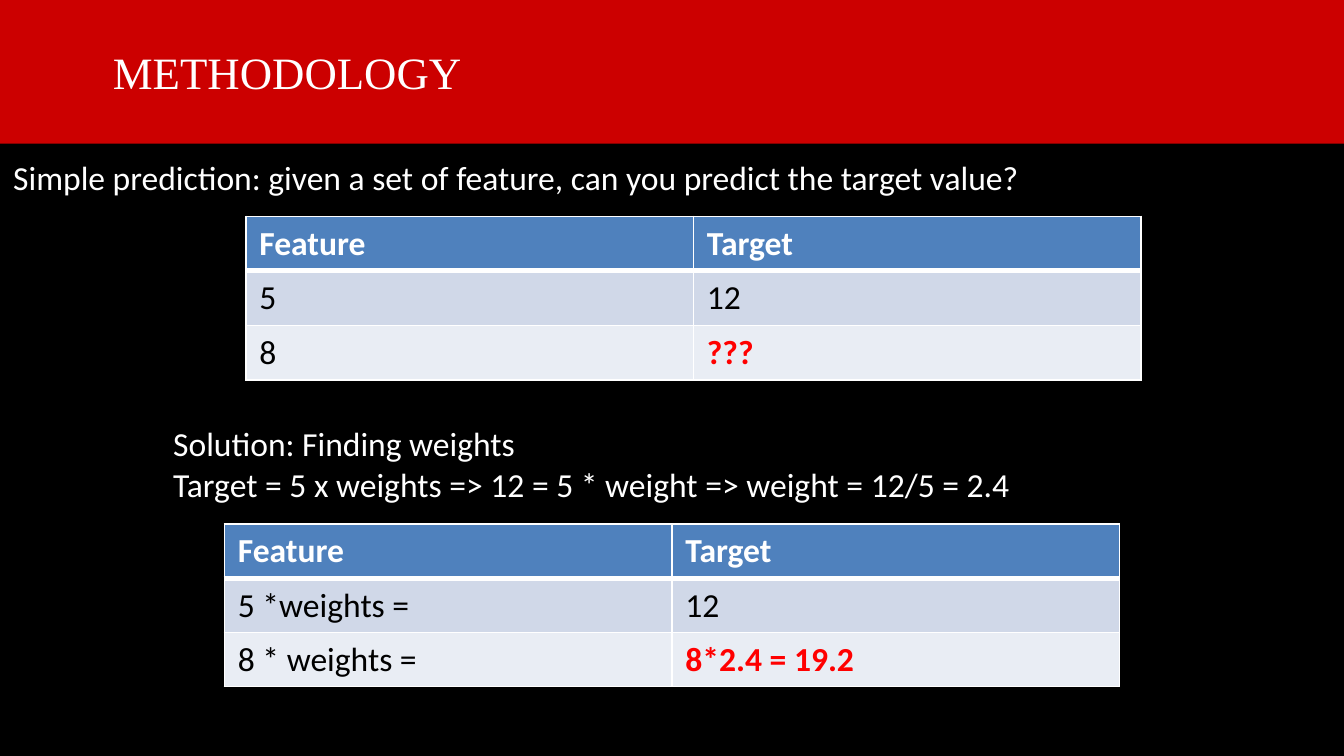
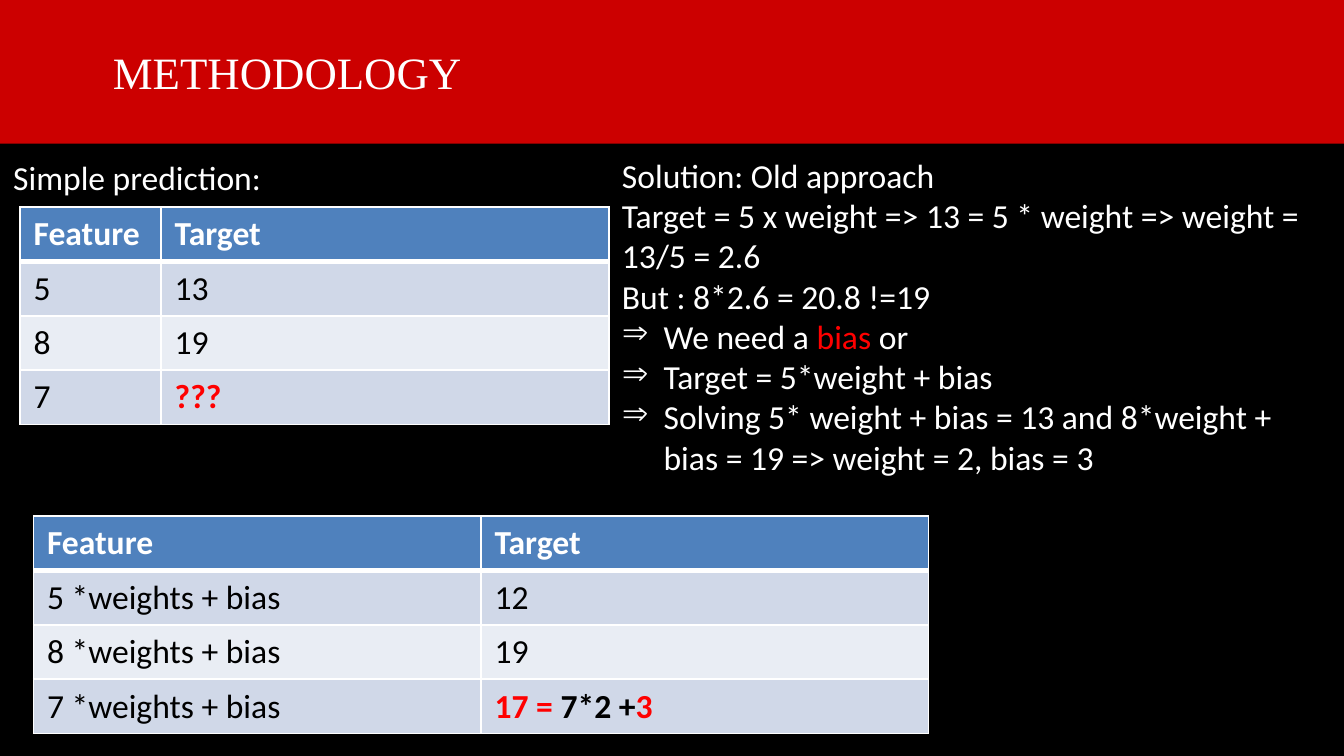
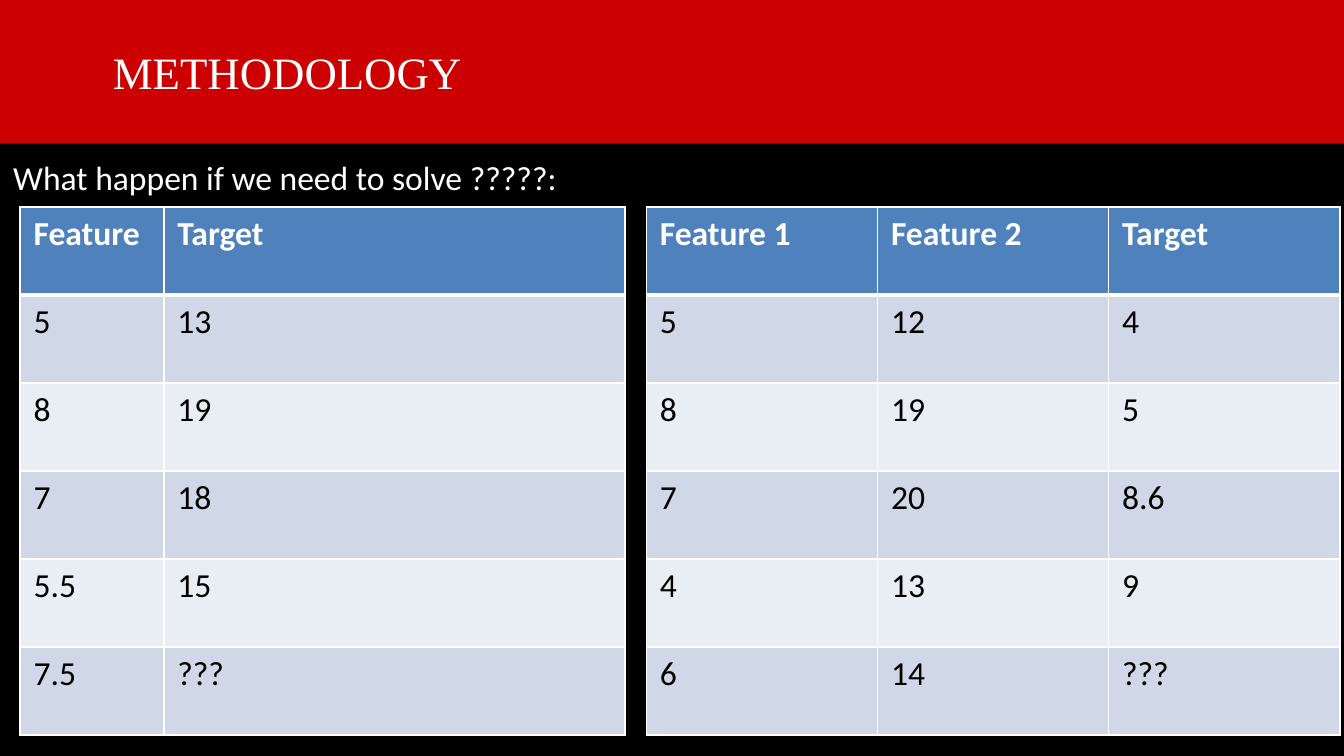
from lxml import etree
from pptx import Presentation
from pptx.dml.color import RGBColor
from pptx.enum.shapes import MSO_SHAPE
from pptx.enum.text import MSO_ANCHOR, MSO_AUTO_SIZE, PP_ALIGN
from pptx.oxml.ns import qn
from pptx.util import Inches, Pt

RECTANGLE = MSO_SHAPE.RECTANGLE
MIDDLE = MSO_ANCHOR.MIDDLE
NO_FIT, GROW = MSO_AUTO_SIZE.NONE, MSO_AUTO_SIZE.SHAPE_TO_FIT_TEXT
LEFT = PP_ALIGN.LEFT

COLORS = {
    "background": "000000",
    "band": "CC0000",
    "light": "FFFFFF",
    "dark": "000000",
    "accent": "FF0000",
    "header": "4F81BD",
    "odd": "D0D8E8",
    "even": "E9EDF4",
}
RGB = {name: RGBColor.from_string(value) for name, value in COLORS.items()}


def write(tf, paragraphs, size=18, font="Calibri", color="light", bold=False, bullets_from=None):
    for i, runs in enumerate(paragraphs):
        p = tf.paragraphs[0] if i == 0 else tf.add_paragraph()
        p.alignment = LEFT
        if bullets_from is not None and i >= bullets_from:
            pPr = p._p.get_or_add_pPr()
            pPr.set("marL", str(Inches(0.31)))
            pPr.set("indent", str(-Inches(0.31)))
            etree.SubElement(pPr, qn("a:buChar")).set("char", "⇒")
        for run in [runs] if isinstance(runs, str) else runs:
            text, run_color = (run, color) if isinstance(run, str) else run
            r = p.add_run()
            r.text = text
            r.font.name = font
            r.font.size = Pt(size)
            r.font.bold = bold
            r.font.color.rgb = RGB[run_color]


def add_grid(s, left, top, widths, height, rows):
    frame = s.shapes.add_table(len(rows), len(widths), Inches(left), Inches(top),
                               Inches(sum(widths)), Inches(height))
    table = frame.table
    for column, width in zip(table.columns, widths):
        column.width = Inches(width)
    for i, values in enumerate(rows):
        table.rows[i].height = Inches(height / len(rows))
        header = i == 0
        borders = {"L": 1, "R": 1, "T": 1, "B": 3} if header else {"L": 1, "R": 1, "B": 1}
        fill = "header" if header else "odd" if i % 2 else "even"
        for j, value in enumerate(values):
            cell = table.cell(i, j)
            tcPr = cell._tc.get_or_add_tcPr()
            for side, width in borders.items():
                ln = etree.SubElement(tcPr, qn(f"a:ln{side}"), w=str(Pt(width)))
                solid = etree.SubElement(ln, qn("a:solidFill"))
                etree.SubElement(solid, qn("a:srgbClr"), val=COLORS["light"])
            cell.fill.solid()
            cell.fill.fore_color.rgb = RGB[fill]
            write(cell.text_frame, [value], color="light" if header else "dark",
                  bold=header or not isinstance(value, str))


prs = Presentation()
prs.slide_width = Inches(10)
prs.slide_height = prs.slide_width * 9 // 16
background = prs.slide_master.background.fill
background.solid()
background.fore_color.rgb = RGB["background"]
layout = prs.slide_layouts[5]

questions = [
    "Simple prediction: given a set of feature, can you predict the target value?",
    "Simple prediction:",
    "What happen if we need to solve ?????:",
]
for question in questions:
    s = prs.slides.add_slide(layout)
    title = s.shapes.title
    title.left, title.top = Inches(0.74), Inches(0.06)
    title.width, title.height = Inches(8.52), Inches(0.94)
    tf = title.text_frame
    tf.word_wrap = True
    tf.auto_size = NO_FIT
    tf.vertical_anchor = MIDDLE
    write(tf, ["METHODOLOGY"], size=24, font="Times New Roman")
    tf = s.shapes.add_textbox(0, Inches(1.12), Inches(9.88), Inches(0.71)).text_frame
    tf.word_wrap = True
    tf.auto_size = GROW
    write(tf, [question])

weight_slide, bias_slide, open_slide = prs.slides

band = weight_slide.shapes.add_shape(RECTANGLE, 0, 0, prs.slide_width, Inches(1.07))
band.shadow.inherit = False
band.fill.solid()
band.fill.fore_color.rgb = RGB["band"]
band.line.fill.background()
layout.shapes.element.insert(2, band.element)

add_grid(weight_slide, 1.83, 1.61, [3.33, 3.33], 1.22, [
    ["Feature", "Target"],
    ["5", "12"],
    ["8", [("???", "accent")]],
])
tf = weight_slide.shapes.add_textbox(Inches(1.19), Inches(3.1), Inches(6.51), Inches(0.71)).text_frame
tf.word_wrap = False
tf.auto_size = GROW
write(tf, [
    "Solution: Finding weights",
    "Target = 5 x weights => 12 = 5 * weight => weight = 12/5 = 2.4",
])
add_grid(weight_slide, 1.67, 3.9, [3.33, 3.33], 1.21, [
    ["Feature", "Target"],
    ["5 *weights =", "12"],
    ["8 * weights =", [("8*2.4 = 19.2", "accent")]],
])

add_grid(bias_slide, 0.15, 1.54, [1.05, 3.33], 1.62, [
    ["Feature", "Target"],
    ["5", "13"],
    ["8", "19"],
    ["7", [("???", "accent")]],
])
tf = bias_slide.shapes.add_textbox(Inches(4.53), Inches(1.1), Inches(5.43), Inches(2.52)).text_frame
tf.word_wrap = True
tf.auto_size = GROW
write(tf, [
    "Solution: Old approach",
    "Target = 5 x weight => 13 = 5 * weight => weight = 13/5 = 2.6",
    "But : 8*2.6 = 20.8 !=19",
    ["We need a ", ("bias", "accent"), " or"],
    "Target = 5*weight + bias",
    "Solving 5* weight + bias = 13 and 8*weight + bias = 19 => weight = 2, bias = 3",
], bullets_from=3)
add_grid(bias_slide, 0.25, 3.84, [3.33, 3.33], 1.62, [
    ["Feature", "Target"],
    ["5 *weights + bias", "12"],
    ["8 *weights + bias", "19"],
    ["7 *weights + bias", [("17 = ", "accent"), "7*2 +", ("3", "accent")]],
])

add_grid(open_slide, 0.15, 1.54, [1.07, 3.43], 3.93, [
    ["Feature", "Target"],
    ["5", "13"],
    ["8", "19"],
    ["7", "18"],
    ["5.5", "15"],
    ["7.5", "???"],
])
add_grid(open_slide, 4.81, 1.54, [1.72] * 3, 3.93, [
    ["Feature 1", "Feature 2", "Target"],
    ["5", "12", "4"],
    ["8", "19", "5"],
    ["7", "20", "8.6"],
    ["4", "13", "9"],
    ["6", "14", "???"],
])

prs.save("out.pptx")
